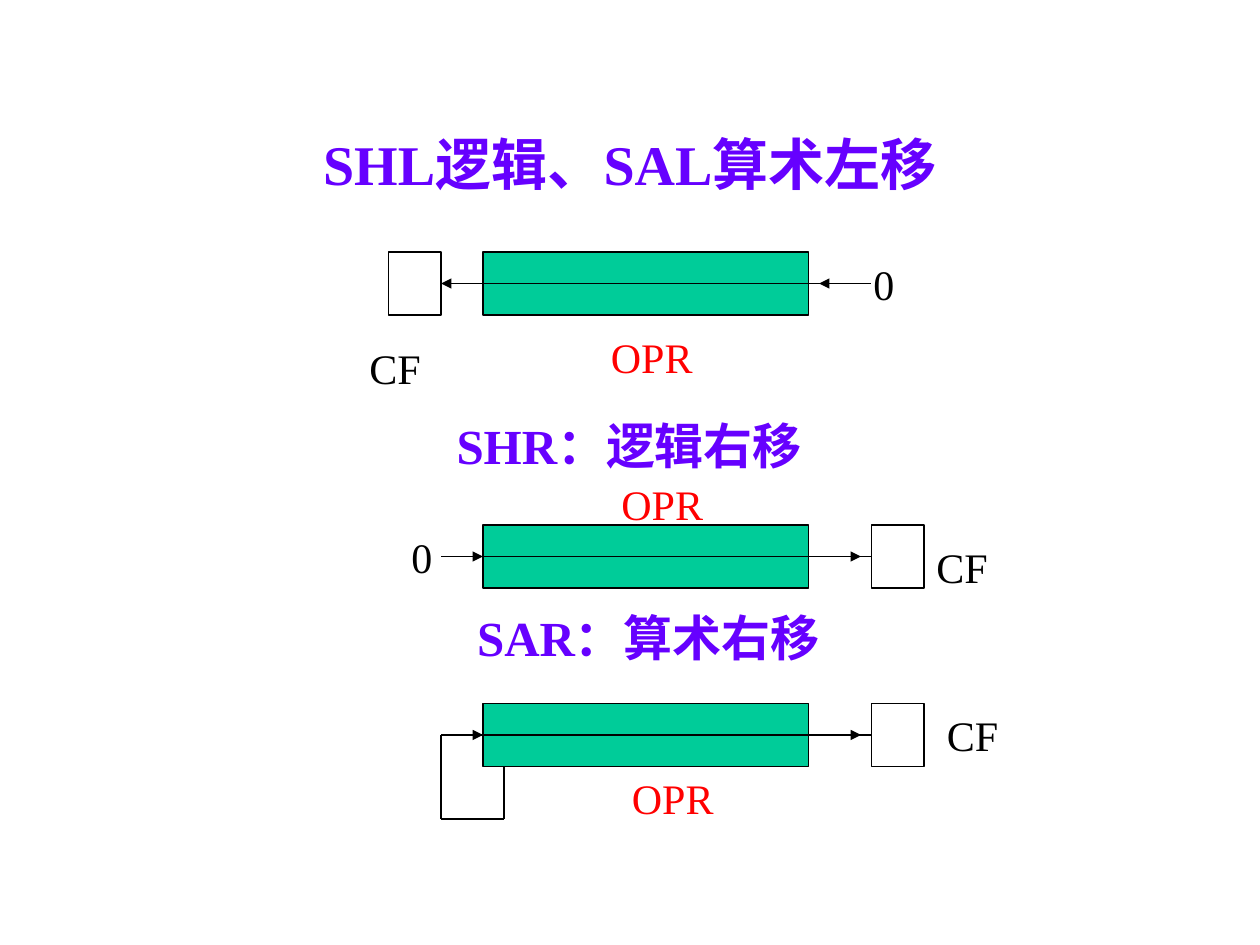
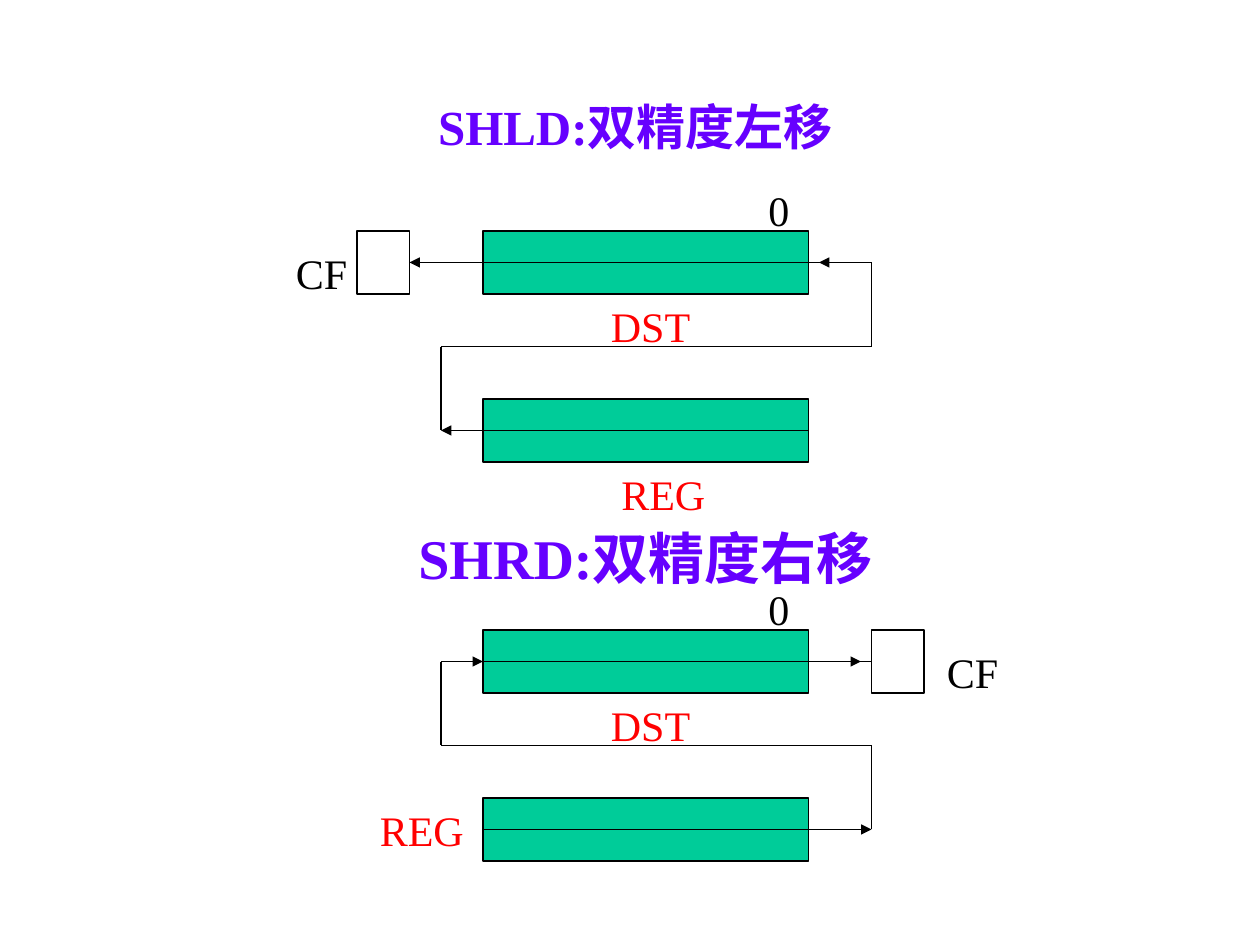
from dataclasses import dataclass
from itertools import pairwise
from lxml import etree
from pptx import Presentation
from pptx.dml.color import RGBColor
from pptx.enum.lang import MSO_LANGUAGE_ID as Lang
from pptx.enum.shapes import MSO_CONNECTOR as Conn, MSO_SHAPE as Shp
from pptx.enum.text import MSO_ANCHOR as Anchor, MSO_AUTO_SIZE as Fit, PP_ALIGN as Align
from pptx.oxml.ns import qn
from pptx.slide import Slide
from pptx.util import Pt


# Theme shared by both slides
@dataclass(frozen=True)
class Theme:
    font: str = "Times New Roman"
    ink: str = "000000"
    paper: str = "FFFFFF"
    register: str = "00CC99"
    heading: str = "6600FF"
    operand: str = "FF0000"
    title_size: int = 32
    subtitle_size: int = 28
    label_size: int = 24
    line_width: float = 0.75


T = Theme()

# Common columns, in points
REG_X, REG_W, BOX_H = 276, 186, 36
REG_RIGHT = REG_X + REG_W
FLAG_X, FLAG_W = 498, 30
THROUGH_X, LEFT_X, RIGHT_X = 264, 252, 498
MID = BOX_H / 2


@dataclass(frozen=True)
class Heading:
    text: str
    x: float
    y: float
    w: float
    h: float
    size: int = T.subtitle_size
    anchor: Anchor = Anchor.TOP
    spacing: float = 1.0


@dataclass(frozen=True)
class Box:
    y: float
    x: float = REG_X
    w: float = REG_W
    fill: str = T.register


@dataclass(frozen=True)
class Wire:
    points: tuple[tuple[float, float], ...]
    arrow: bool = False


@dataclass(frozen=True)
class Label:
    text: str
    x: float
    y: float
    w: float = 48
    color: str = T.ink


@dataclass(frozen=True)
class Diagram:
    headings: list[Heading]
    boxes: list[Box]
    wires: list[Wire]
    labels: list[Label]


# Parts that recur in the diagrams
def flag(y: float, x: float = FLAG_X) -> Box:
    return Box(y, x, FLAG_W, T.paper)


def operand(text: str, x: float, y: float) -> Label:
    return Label(text, x, y, 66, T.operand)


def run(y: float, x1: float, x2: float, arrow: bool = False) -> Wire:
    return Wire(((x1, y), (x2, y)), arrow)


def shift_left(top: float, flag_right: float) -> list[Wire]:
    y = top + MID
    return [run(y, THROUGH_X, RIGHT_X), run(y, REG_X, flag_right, True), run(y, 492, 468, True)]


def shift_right(top: float) -> list[Wire]:
    y = top + MID
    return [run(y, THROUGH_X, FLAG_X), run(y, LEFT_X, REG_X, True), run(y, 468, 492, True)]


def link(y1: float, x1: float, y2: float, x2: float) -> Wire:
    """Z-shaped wire from one register row to the next."""
    turn = y1 + 48
    return Wire(((x1, y1), (x1, turn), (x2, turn), (x2, y2)))


# Drawing
def add_text(s: Slide, item: Heading | Label, h: float, frame: dict, para: dict, font: dict,
             color: str) -> None:
    tf = s.shapes.add_textbox(Pt(item.x), Pt(item.y), Pt(item.w), Pt(h)).text_frame
    p = tf.paragraphs[0]
    r = p.add_run()
    r.text = item.text
    for target, values in ((tf, frame), (p, para), (r.font, {"name": T.font, **font})):
        for key, value in values.items():
            setattr(target, key, value)
    r.font.color.rgb = RGBColor.from_string(color)


def add_heading(s: Slide, hd: Heading) -> None:
    add_text(s, hd, hd.h, {"word_wrap": False, "vertical_anchor": hd.anchor},
             {"alignment": Align.CENTER, "line_spacing": hd.spacing},
             {"size": Pt(hd.size), "bold": True, "language_id": Lang.SIMPLIFIED_CHINESE}, T.heading)


def add_label(s: Slide, lb: Label) -> None:
    add_text(s, lb, BOX_H, {"word_wrap": True, "auto_size": Fit.SHAPE_TO_FIT_TEXT},
             {"alignment": Align.LEFT}, {"size": Pt(T.label_size)}, lb.color)


def add_box(s: Slide, b: Box) -> dict:
    """Draw a box and return the connection sites at its left and right sides."""
    sp = s.shapes.add_shape(Shp.RECTANGLE, Pt(b.x), Pt(b.y), Pt(b.w), Pt(BOX_H))
    sp.shadow.inherit = False
    sp.fill.solid()
    sp.fill.fore_color.rgb = RGBColor.from_string(b.fill)
    sp.line.color.rgb = RGBColor.from_string(T.ink)
    sp.line.width = Pt(T.line_width)
    y = b.y + MID
    return {(b.x, y): (sp, 1), (b.x + b.w, y): (sp, 3)}


def add_wire(s: Slide, w: Wire, sites: dict) -> None:
    for start, end in pairwise(w.points):
        c = s.shapes.add_connector(Conn.STRAIGHT, *map(Pt, start + end))
        if start in sites:
            c.begin_connect(*sites[start])
        if end in sites:
            c.end_connect(*sites[end])
        c.line.color.rgb = RGBColor.from_string(T.ink)
        c.line.width = Pt(T.line_width)
        if w.arrow:
            etree.SubElement(c.line._get_or_add_ln(), qn("a:tailEnd"), type="triangle")
        etree.SubElement(c._element.spPr, qn("a:effectLst"))


def draw(s: Slide, d: Diagram) -> None:
    for hd in d.headings:
        add_heading(s, hd)
    sites = {}
    for b in d.boxes:
        sites |= add_box(s, b)
    for w in d.wires:
        add_wire(s, w, sites)
    for lb in d.labels:
        add_label(s, lb)


# Slide 1: single-register shifts
SHL, SHR, SAR = 144, 300, 402
single_shifts = Diagram(
    headings=[
        Heading("SHL逻辑、SAL算术左移", 54, 48, 612, 90, T.title_size, Anchor.MIDDLE),
        Heading("SHR：逻辑右移", 246.5, 234, 226, 41),
        Heading("SAR：算术右移", 257.5, 343.5, 226, 41),
    ],
    boxes=[Box(SHL), flag(SHL, 222), Box(SHR), flag(SHR), Box(SAR), flag(SAR)],
    wires=[
        *shift_left(SHL, LEFT_X),
        *shift_right(SHR),
        *shift_right(SAR),
        Wire(((LEFT_X, SAR + MID), (LEFT_X, 468), (288, 468), (288, SAR + BOX_H))),
    ],
    labels=[
        Label("CF", 204, 192), Label("0", 492, SHL), operand("OPR", 342, 186),
        Label("0", 228, SHR, 36), Label("CF", 528, 306), operand("OPR", 348, 270),
        Label("CF", 534, SAR), operand("OPR", 354, SAR + BOX_H),
    ],
)

# Slide 2: double-precision shifts
SHLD, SHLD_REG, SHRD, SHRD_REG = 132, 228, 360, 456
double_shifts = Diagram(
    headings=[
        Heading("SHLD:双精度左移", 198, 48, 330, 48, anchor=Anchor.MIDDLE),
        Heading("SHRD:双精度右移", 222, 300, 294, 42, T.title_size, spacing=0.9),
    ],
    boxes=[Box(SHLD), flag(SHLD, 204), Box(SHLD_REG), Box(SHRD), flag(SHRD), Box(SHRD_REG)],
    wires=[
        *shift_left(SHLD, 234),
        link(SHLD + MID, RIGHT_X, SHLD_REG + MID, LEFT_X),
        run(SHLD_REG + MID, THROUGH_X, REG_RIGHT),
        run(SHLD_REG + MID, REG_X, LEFT_X, True),
        *shift_right(SHRD),
        link(SHRD + MID, LEFT_X, SHRD_REG + MID, RIGHT_X),
        run(SHRD_REG + MID, REG_X, REG_RIGHT),
        run(SHRD_REG + MID, REG_RIGHT, RIGHT_X, True),
    ],
    labels=[
        Label("CF", 162, 138), Label("0", 432, 102),
        operand("DST", 342, SHLD + BOX_H), operand("REG", 348, SHLD_REG + BOX_H),
        Label("CF", 534, 366), Label("0", 432, 330),
        operand("DST", 342, SHRD + BOX_H), operand("REG", 210, SHRD_REG),
    ],
)


def main() -> None:
    prs = Presentation()
    prs.slide_width, prs.slide_height = Pt(720), Pt(540)
    for diagram in (single_shifts, double_shifts):
        draw(prs.slides.add_slide(prs.slide_layouts[6]), diagram)
    prs.save("out.pptx")


if __name__ == "__main__":
    main()
